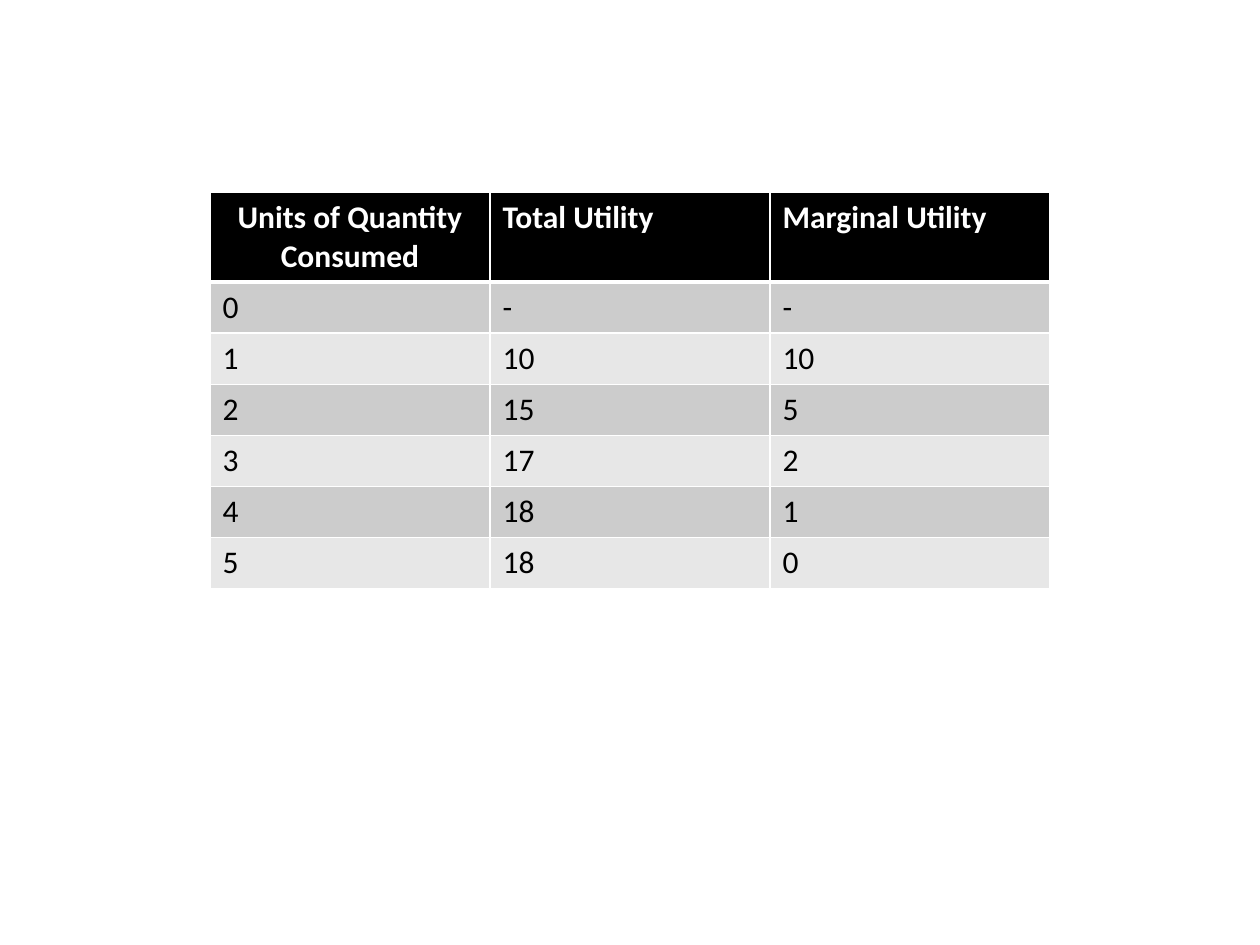
from dataclasses import dataclass

from lxml.etree import SubElement
from pptx import Presentation
from pptx.dml.color import RGBColor
from pptx.enum.text import PP_ALIGN
from pptx.oxml.ns import qn
from pptx.table import _Cell
from pptx.util import Inches, Pt


@dataclass(frozen=True)
class RowStyle:
    fill: str
    color: str = "000000"
    bold: bool = False
    top: float = 1
    bottom: float = 1


HEADER = RowStyle("000000", "FFFFFF", bold=True, bottom=3)
FIRST = RowStyle("CCCCCC", top=3)
DARK = RowStyle("CCCCCC")
LIGHT = RowStyle("E7E7E7")

PAGE_WIDTH = 10
TABLE_WIDTH = PAGE_WIDTH * 2 / 3
TABLE_LEFT = (PAGE_WIDTH - TABLE_WIDTH) / 2
TABLE_TOP = 110 / 72
TABLE_HEIGHT = 3.13
ROW_HEIGHT = 0.4

HEADINGS = ("Units of Quantity Consumed", "Total Utility", "Marginal Utility")
UTILITIES = (
    ("0", "-", "-"),
    ("1", "10", "10"),
    ("2", "15", "5"),
    ("3", "17", "2"),
    ("4", "18", "1"),
    ("5", "18", "0"),
)


def rgb(value: str) -> RGBColor:
    """Turn a hex string into a colour."""
    return RGBColor.from_string(value)


def add_border(cell: _Cell, side: str, width: float, color: str = "FFFFFF") -> None:
    """Draw one solid edge of a cell."""
    line = SubElement(cell._tc.get_or_add_tcPr(), qn(f"a:ln{side}"), w=str(Pt(width)))
    SubElement(SubElement(line, qn("a:solidFill")), qn("a:srgbClr"), val=color)


def write_text(cell: _Cell, text: str, *, color: str, bold: bool,
               align: PP_ALIGN, font: str = "Calibri", size: float = 18) -> None:
    """Put formatted text into a cell."""
    para = cell.text_frame.paragraphs[0]
    para.alignment = align
    span = para.add_run()
    span.text = text
    span.font.name = font
    span.font.size = Pt(size)
    span.font.bold = bold
    span.font.color.rgb = rgb(color)


def format_cell(cell: _Cell, text: str, style: RowStyle, align: PP_ALIGN) -> None:
    """Apply a row style and its text to a cell."""
    edges = {"L": 1, "R": 1, "T": style.top, "B": style.bottom}
    for side, width in edges.items():
        add_border(cell, side, width)
    cell.fill.solid()
    cell.fill.fore_color.rgb = rgb(style.fill)
    write_text(cell, text, color=style.color, bold=style.bold, align=align)


def row_style(index: int) -> RowStyle:
    """Choose the banded style of a row."""
    if index < 2:
        return (HEADER, FIRST)[index]
    return DARK if index % 2 else LIGHT


def build_deck() -> None:
    """Build the utility table slide and save it."""
    deck = Presentation()
    deck.slide_width, deck.slide_height = Inches(PAGE_WIDTH), Inches(7.5)
    page = deck.slides.add_slide(deck.slide_layouts[6])
    rows = (HEADINGS, *UTILITIES)
    frame = page.shapes.add_table(len(rows), len(HEADINGS), Inches(TABLE_LEFT),
                                  Inches(TABLE_TOP), Inches(TABLE_WIDTH),
                                  Inches(TABLE_HEIGHT))
    table = frame.table
    for row_index, texts in enumerate(rows):
        table.rows[row_index].height = Inches(ROW_HEIGHT)
        for column_index, text in enumerate(texts):
            centred = row_index == column_index == 0
            align = PP_ALIGN.CENTER if centred else PP_ALIGN.LEFT
            format_cell(table.cell(row_index, column_index), text,
                        row_style(row_index), align)
    frame.height = Inches(TABLE_HEIGHT)
    deck.save("out.pptx")


build_deck()
